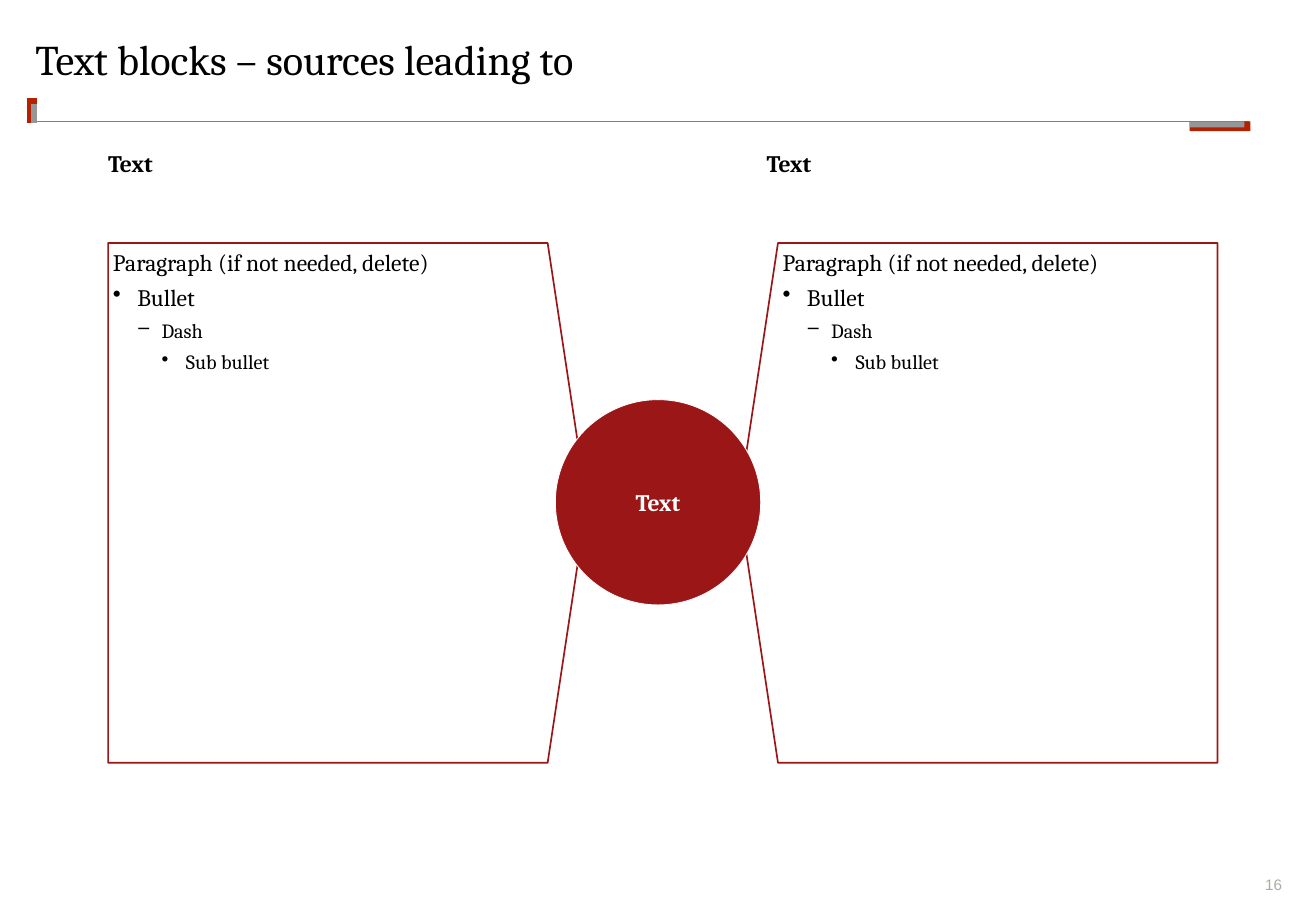
from dataclasses import dataclass

from lxml.etree import SubElement
from pptx import Presentation
from pptx.dml.color import RGBColor
from pptx.enum.shapes import MSO_CONNECTOR, MSO_SHAPE
from pptx.enum.text import MSO_ANCHOR, PP_ALIGN
from pptx.oxml.ns import qn
from pptx.util import Inches, Pt


@dataclass(frozen=True)
class Theme:
    """Colours, fonts and type sizes of the slide."""
    black: str = "000000"
    white: str = "FFFFFF"
    crimson: str = "9B1717"
    accent: str = "B42100"
    grey: str = "969696"
    rule: str = "808080"
    number: str = "ADABA1"
    serif: str = "Cambria"
    sans: str = "Arial"
    title: float = 25
    body: float = 14
    detail: float = 12
    small: float = 9


THEME = Theme()
INDENT = 0.2
OUTLINE = [
    ("Paragraph (if not needed, delete)", None, THEME.body),
    ("Bullet", "•", THEME.body),
    ("Dash", "‒", THEME.detail),
    ("Sub bullet", "•", THEME.detail),
]


def write_text(paragraph, text, *, size=THEME.body, color=THEME.black, font=THEME.serif,
               bold=False, align=PP_ALIGN.LEFT, level=0, bullet=None, before=0, spacing=None):
    """Write one formatted run into a paragraph."""
    paragraph.alignment = align
    paragraph.level = level
    paragraph.space_before = Pt(before)
    if spacing:
        paragraph.line_spacing = spacing
    if bullet:
        properties = paragraph._p.get_or_add_pPr()
        properties.set("marL", str(Inches(INDENT * level)))
        properties.set("indent", str(Inches(-INDENT)))
        SubElement(properties, qn("a:buChar")).set("char", bullet)
    run = paragraph.add_run()
    run.text = text
    run.font.size = Pt(size)
    run.font.name = font
    run.font.bold = bold
    run.font.color.rgb = RGBColor.from_string(color)


class SlideBuilder:
    """Draws themed elements on the current slide."""

    def __init__(self, slide, theme):
        self.slide = slide
        self.theme = theme

    def frame(self, shape, margins=(0, 0, 0, 0), anchor=MSO_ANCHOR.TOP, wrap=True):
        """Prepare the text frame of a shape."""
        frame = shape.text_frame
        (frame.margin_left, frame.margin_top,
         frame.margin_right, frame.margin_bottom) = map(Inches, margins)
        frame.vertical_anchor = anchor
        frame.word_wrap = wrap
        return frame

    def label(self, box, text, anchor=MSO_ANCHOR.TOP, wrap=False, **style):
        """Add a single-line text box."""
        textbox = self.slide.shapes.add_textbox(*map(Inches, box))
        write_text(self.frame(textbox, anchor=anchor, wrap=wrap).paragraphs[0], text, **style)

    def line(self, start, end, color, width):
        """Add a straight line without shadow."""
        connector = self.slide.shapes.add_connector(
            MSO_CONNECTOR.STRAIGHT, *map(Inches, (*start, *end)))
        connector.line.color.rgb = RGBColor.from_string(color)
        connector.line.width = Pt(width)
        SubElement(connector.element.spPr, qn("a:effectLst"))

    def shape(self, kind, box, fill, outline=None, width=1):
        """Add a filled preset shape."""
        shape = self.slide.shapes.add_shape(kind, *map(Inches, box))
        shape.shadow.inherit = False
        shape.fill.solid()
        shape.fill.fore_color.rgb = RGBColor.from_string(fill)
        if outline:
            shape.line.color.rgb = RGBColor.from_string(outline)
            shape.line.width = Pt(width)
        else:
            shape.line.fill.background()
        return shape

    def source_block(self, left, flipped):
        """Add a pointed block with the outline text."""
        block = self.shape(MSO_SHAPE.PENTAGON, (left, 2, 3.94, 4.28),
                           self.theme.white, self.theme.crimson)
        block.adjustments[0] = 0.082
        if flipped:
            block.element.spPr.find(qn("a:xfrm")).set("flipH", "1")
        frame = self.frame(block, (0.2 if flipped else 0.04, 0.04, 0.04, 0.04))
        for level, (text, bullet, size) in enumerate(OUTLINE):
            paragraph = frame.add_paragraph() if level else frame.paragraphs[0]
            write_text(paragraph, text, size=size, level=level, bullet=bullet,
                       before=4 if level else 0)

    def hub(self, box, text):
        """Add the central circle."""
        circle = self.shape(MSO_SHAPE.OVAL, box, self.theme.crimson, self.theme.white, 0.5)
        frame = self.frame(circle, (0.04,) * 4, MSO_ANCHOR.MIDDLE)
        write_text(frame.paragraphs[0], text, color=self.theme.white, bold=True,
                   align=PP_ALIGN.CENTER)


def main():
    """Build and save the slide."""
    presentation = Presentation()
    presentation.slide_width = Inches(10.83)
    presentation.slide_height = Inches(7.5)
    slide = presentation.slides.add_slide(presentation.slide_layouts[6])
    builder = SlideBuilder(slide, THEME)

    builder.label((10.24, 7.21, 0.31, 0.15), "16", anchor=MSO_ANCHOR.BOTTOM, size=THEME.small,
                  font=THEME.sans, color=THEME.number, align=PP_ALIGN.RIGHT)
    builder.line((0.3, 1), (10.28, 1), THEME.rule, 1)
    builder.line((0.26, 1.01), (0.26, 0.81), THEME.accent, 6)
    builder.line((0.28, 1.01), (0.28, 0.86), THEME.grey, 3)
    builder.shape(MSO_SHAPE.RECTANGLE, (9.79, 1, 0.5, 0.08), THEME.accent)
    builder.shape(MSO_SHAPE.RECTANGLE, (9.79, 1, 0.45, 0.05), THEME.grey)
    builder.label((0.29, 0.32, 10.25, 0.67), "Text blocks – sources leading to",
                  wrap=True, size=THEME.title, spacing=0.9)

    for heading_left, block_left, flipped in ((0.89, 0.89, False), (6.31, 6.08, True)):
        builder.label((heading_left, 1.23, 0.39, 0.24), "Text", bold=True)
        builder.source_block(block_left, flipped)
    builder.hub((4.57, 3.29, 1.69, 1.69), "Text")

    presentation.save("out.pptx")


if __name__ == "__main__":
    main()
